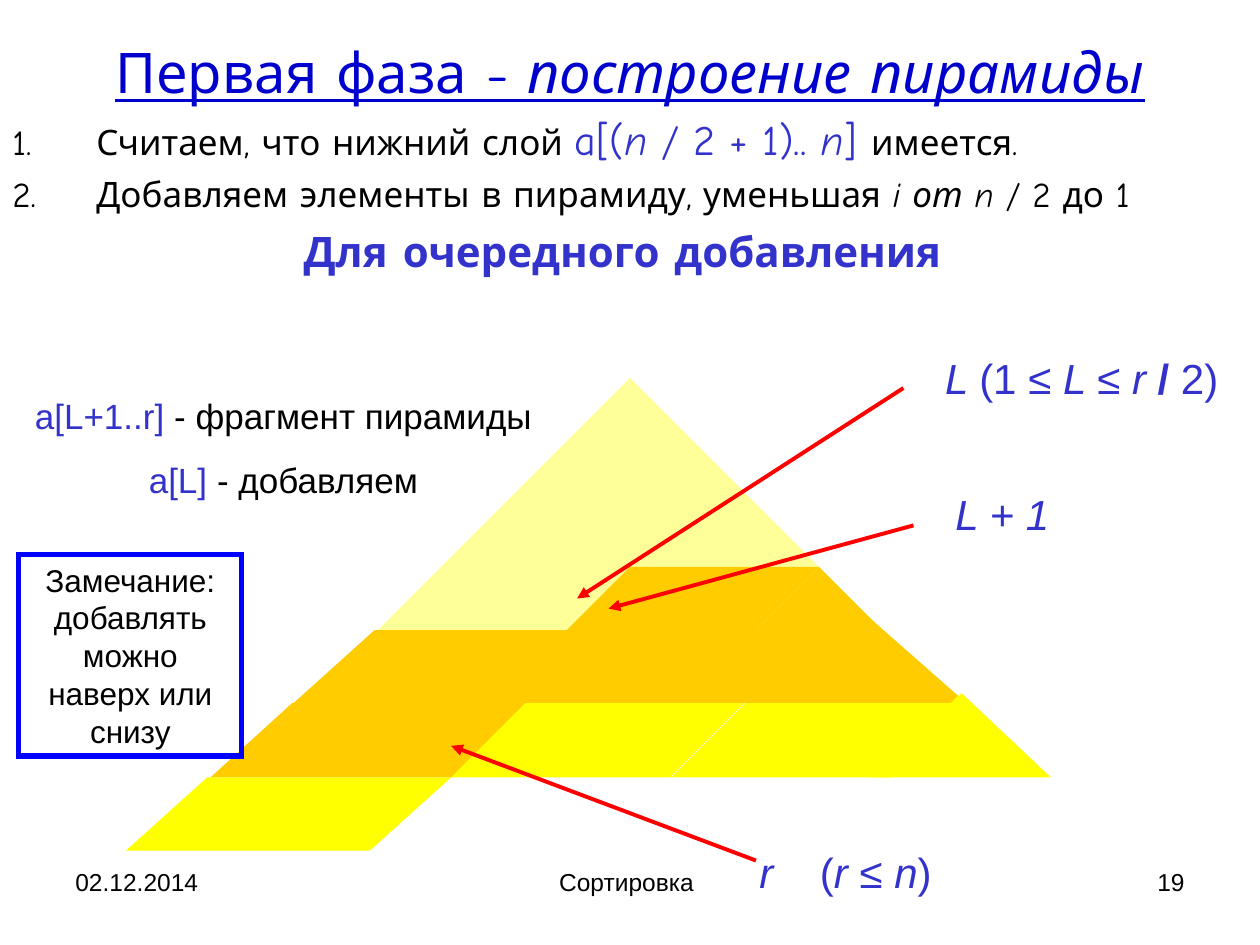
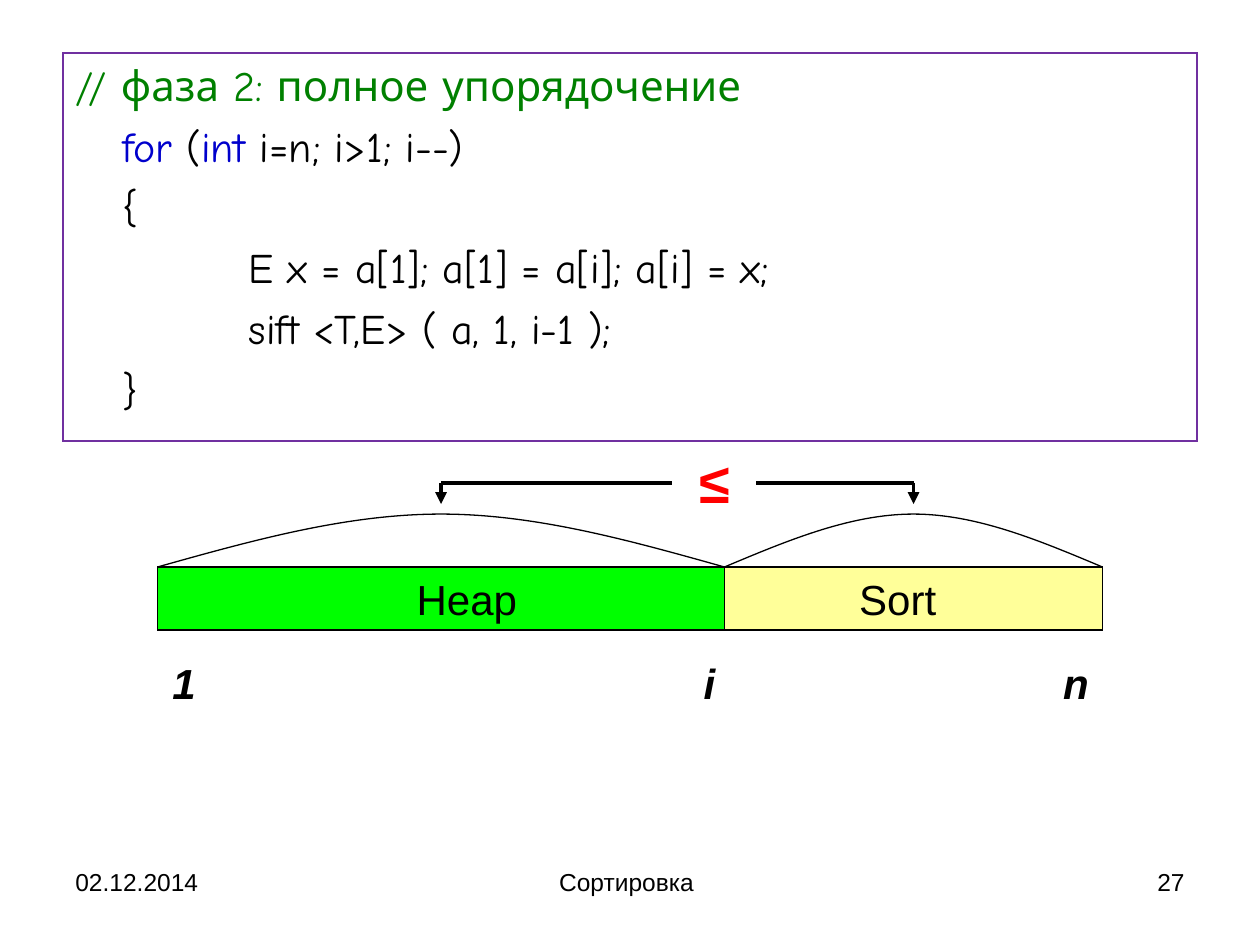
from lxml import etree
from pptx import Presentation
from pptx.dml.color import RGBColor
from pptx.enum.shapes import MSO_CONNECTOR, MSO_SHAPE
from pptx.enum.text import MSO_ANCHOR, PP_ALIGN
from pptx.oxml.ns import qn
from pptx.util import Inches, Pt

LEFT, CENTER, RIGHT = PP_ALIGN.LEFT, PP_ALIGN.CENTER, PP_ALIGN.RIGHT
STRAIGHT = MSO_CONNECTOR.STRAIGHT
RECTANGLE = MSO_SHAPE.RECTANGLE
TRIANGLE = MSO_SHAPE.ISOSCELES_TRIANGLE
SLANTED = MSO_SHAPE.PARALLELOGRAM

BLACK = RGBColor(0, 0, 0)
WHITE = RGBColor(0xFF, 0xFF, 0xFF)
NAVY = RGBColor(0, 0, 0xCC)
INDIGO = RGBColor(0x33, 0x33, 0xCC)
BLUE = RGBColor(0, 0, 0xFF)
RED = RGBColor(0xFF, 0, 0)
CODE_GREEN = RGBColor(0, 0x80, 0)
LIME = RGBColor(0, 0xFF, 0)
PURPLE = RGBColor(0x70, 0x30, 0xA0)
PALE = RGBColor(0xFF, 0xFF, 0x99)
ORANGE = RGBColor(0xFF, 0xCC, 0)
YELLOW = RGBColor(0xFF, 0xFF, 0)

BODY_FONT, NOTE_FONT = "Arial", "Comic Neue"
THIN, ARROW_WIDTH, FRAME_WIDTH = 0.74, 2.24, 3
LIST_INDENT, CODE_INDENT, CODE_STEP = 2 / 3, 3 / 8, 1
ITALIC = {"italic": True}
FORMULA = {"size": 24, "color": INDIGO}
FORMULA_ITALIC = {**FORMULA, **ITALIC}
KEYWORD = {"color": NAVY}

# Footer: left, width, alignment; the page number fills the last one
FOOTER = [(0.5, 2.33, LEFT, "02.12.2014"), (3.42, 3.16, CENTER, "Сортировка "),
          (7.17, 2.33, RIGHT, None)]

# A paragraph is a list of spans (text, format) with its own paragraph format
INTRO = [
    ([("Первая фаза - ", {}), ("построение пирамиды", ITALIC)],
     {"size": 32, "color": NAVY, "underline": True, "align": CENTER, "before": 8}),
    ([("Считаем, что нижний слой ", {}), ("a[(", FORMULA), ("n ", FORMULA_ITALIC),
      ("/ 2 + 1).. ", FORMULA), ("n", FORMULA_ITALIC), ("] ", FORMULA),
      ("имеется.", {})], {"before": 5, "numbered": True}),
    ([("Добавляем элементы в пирамиду, уменьшая ", {}), ("i от n ", ITALIC),
      ("/ 2 до 1", {})], {"before": 5, "numbered": True}),
    ([("Для очередного добавления ", {})],
     {"size": 24, "color": INDIGO, "bold": True, "align": CENTER, "before": 6}),
]
FRAGMENT = [
    ([("a[L+1..r]", {"color": INDIGO}), (" - фрагмент пирамиды", {})], {}),
    ([("a[L] ", {"color": INDIGO}), ("- добавляем", {})], {}),
]
NOTE = "Замечание: добавлять можно наверх или снизу"

# Pyramid pieces: colour, left, top, width, height, slant (None: triangle)
PYRAMID = [
    (PALE, 3.5, 3, 3, 1.5, None), (PALE, 3, 4.5, 2, 0.5, 1),
    (ORANGE, 6, 4.5, 1, 0.5, None), (ORANGE, 4.5, 4.5, 2, 0.5, 1),
    (ORANGE, 2.33, 5, 2.58, 0.58, 1.11), (ORANGE, 4.08, 5, 2.92, 0.58, 1.25),
    (ORANGE, 6.17, 4.92, 1.5, 0.66, None), (ORANGE, 1.67, 5.58, 2.58, 0.59, 1.1),
    (YELLOW, 1, 6.17, 2.58, 0.58, 1.11), (YELLOW, 3.58, 5.58, 2.33, 0.59, 1),
    (YELLOW, 5.33, 5.58, 2.33, 0.59, 1), (YELLOW, 6.92, 5.5, 1.42, 0.67, None),
]
# Labels with arrows: box, spans, arrow start, arrow end
LABELS = [
    ((5.67, 6.67, 2.08, 0.5),
     [("r", ITALIC), (" ", {"spacing": 20}), ("(", {}), ("r ", ITALIC), ("≤ ", {}),
      ("n", ITALIC), (")", {})], (6, 6.83), (3.58, 5.92)),
    ((7.17, 2.75, 2.83, 0.5),
     [("L ", ITALIC), ("(1 ≤ ", {}), ("L ", ITALIC), ("≤ ", {}), ("r ", ITALIC),
      ("/ ", {"bold": True}), ("2)", {})], (7.17, 3.08), (4.58, 4.75)),
    ((7.33, 3.83, 1.25, 0.5), [("L + 1", ITALIC)], (7.25, 4.17), (4.83, 4.83)),
]

# Code lines: left margin, spans
BLOCK, INNER = CODE_INDENT, CODE_INDENT + CODE_STEP
CODE = [
    (0, [("// фаза 2: полное упорядочение ", {"color": CODE_GREEN})]),
    (BLOCK, [("for", KEYWORD), (" (", {}), ("int", KEYWORD),
             (" i=n; i>1; i--) ", {})]),
    (BLOCK, [("{", {})]),
    (INNER, [("E x = a[1]; a[1] = a[i]; a[i] = x;", {})]),
    (INNER, [("sift <T,E> ( a, 1, i-1 );", {})]),
    (BLOCK, [("}", {})]),
]
# Array parts: name, left, width, colour, label left, label width, bracket end
ARRAY_TOP, ARRAY_HEIGHT, ARC_TOP, BRACKET_TOP = 4.5, 0.5, 4.08, 3.83
PARTS = [("Heap", 1.25, 4.5, LIME, 2.58, 2.25, 5.33),
         ("Sort", 5.75, 3, PALE, 6.25, 1.75, 6)]
INDEXES = [("i", 5.42), ("1", 1.25), ("n", 8.33)]


def write_text(box, paragraphs, font=BODY_FONT, size=24, color=BLACK, bold=False,
               italic=False, underline=False, align=LEFT, before=0, margin=0,
               hanging=0, numbered=False):
    """Fill a box with paragraphs; each paragraph and span may override the format."""
    frame = box.text_frame
    frame.word_wrap = True
    frame.vertical_anchor = MSO_ANCHOR.TOP
    shared = dict(font=font, size=size, color=color, bold=bold, italic=italic,
                  underline=underline, align=align, before=before, margin=margin,
                  numbered=numbered, spacing=0)
    for number, (spans, changes) in enumerate(paragraphs):
        para = frame.paragraphs[0] if number == 0 else frame.add_paragraph()
        style = {**shared, **changes}
        para.alignment = style["align"]
        para.space_before = Pt(style["before"])
        properties = para._p.get_or_add_pPr()
        properties.set("marL", str(Inches(style["margin"])))
        properties.set("indent", str(-Inches(hanging)))
        if style["numbered"]:
            etree.SubElement(properties, qn("a:buAutoNum"), type="arabicPeriod")
        for text, span_changes in spans:
            look = {**style, **span_changes}
            span = para.add_run()
            span.text = text
            span.font.name = look["font"]
            span.font.size = Pt(look["size"])
            span.font.color.rgb = look["color"]
            span.font.bold = look["bold"]
            span.font.italic = look["italic"]
            span.font.underline = look["underline"]
            if look["spacing"]:
                span._r.get_or_add_rPr().set("spc", str(look["spacing"] * 100))


def add_text(page, place, content, **style):
    """Add a text box holding one string or a list of paragraphs."""
    box = page.shapes.add_textbox(*map(Inches, place))
    paragraphs = [([(content, {})], {})] if isinstance(content, str) else content
    write_text(box, paragraphs, **style)
    return box


def paint(shape, fill=None, line=None, width=THIN):
    """Set fill and sharp-cornered outline, if given, and drop the shadow."""
    shape.shadow.inherit = False
    if fill is None:
        shape.fill.background()
    else:
        shape.fill.solid()
        shape.fill.fore_color.rgb = fill
    if line is None:
        shape.line.fill.background()
    else:
        shape.line.color.rgb = line
        shape.line.width = Pt(width)
        etree.SubElement(shape.line._get_or_add_ln(), qn("a:miter"), lim="800000")


def add_shape(page, kind, place, **look):
    """Add a painted preset shape."""
    shape = page.shapes.add_shape(kind, *map(Inches, place))
    paint(shape, **look)
    return shape


def add_line(page, start, end, color, arrow=True):
    """Draw a straight line, with an arrowhead at its end if wanted."""
    line = page.shapes.add_connector(STRAIGHT, *map(Inches, start + end))
    line.line.color.rgb = color
    line.line.width = Pt(ARROW_WIDTH)
    if arrow:
        etree.SubElement(line.line._get_or_add_ln(), qn("a:tailEnd"), type="triangle")
    etree.SubElement(line._element.spPr, qn("a:effectLst"))


def add_arc(page, left, width):
    """Draw a smooth arch over one array part from two Bezier curves."""
    shoulder = (ARRAY_TOP + ARC_TOP) / 2
    heights = [ARRAY_TOP, shoulder, ARC_TOP, ARC_TOP, ARC_TOP, shoulder, ARRAY_TOP]
    points = [(Inches(left + width * step / 6), Inches(height))
              for step, height in enumerate(heights)]
    builder = page.shapes.build_freeform(*points[0])
    builder.add_line_segments(points[1:], close=False)
    arc = builder.convert_to_shape()
    outline = next(arc._element.iter(qn("a:path")))
    segments = outline.findall(qn("a:lnTo"))
    for first in range(0, len(segments), 3):
        curve = etree.SubElement(outline, qn("a:cubicBezTo"))
        for segment in segments[first:first + 3]:
            curve.append(segment[0])
            outline.remove(segment)
    paint(arc, line=BLACK)


def add_page(deck, number):
    """Add a blank page with the shared footer."""
    page = deck.slides.add_slide(deck.slide_layouts[6])
    for left, width, align, text in FOOTER:
        add_text(page, (left, 6.83, width, 0.52), text or str(number),
                 size=14, align=align)
    return page


def build_pyramid_page(deck):
    """Build the page on the first phase: growing the heap."""
    page = add_page(deck, 19)
    add_text(page, (0, 0.25, 10, 2.25), INTRO, font=NOTE_FONT, size=20,
             margin=LIST_INDENT, hanging=LIST_INDENT)
    for color, left, top, width, height, slant in PYRAMID:
        kind = SLANTED if slant else TRIANGLE
        piece = add_shape(page, kind, (left, top, width, height), fill=color)
        piece.adjustments[0] = slant or 0.5
    for place, spans, start, end in LABELS:
        add_line(page, start, end, RED)
        add_text(page, place, [(spans, {})], color=INDIGO, align=CENTER, before=15)
    add_text(page, (0, 3.08, 4.5, 0.94), FRAGMENT, size=20, align=CENTER, before=12.5)
    note = add_shape(page, RECTANGLE, (0.15, 4.4, 1.77, 1.6), line=BLUE,
                     width=FRAME_WIDTH)
    write_text(note, [([(NOTE, {})], {})], size=18, align=CENTER, before=11.2)


def build_sort_page(deck):
    """Build the page on the second phase: code and the split array."""
    page = add_page(deck, 27)
    code = add_shape(page, RECTANGLE, (0.5, 0.42, 9, 3.08), fill=WHITE, line=PURPLE)
    write_text(code, [(spans, {"margin": margin}) for margin, spans in CODE],
               font=NOTE_FONT, before=6)
    for name, left, width, color, label_left, label_width, bracket_end in PARTS:
        middle = left + width / 2
        add_shape(page, RECTANGLE, (left, ARRAY_TOP, width, ARRAY_HEIGHT),
                  fill=color, line=BLACK)
        add_text(page, (label_left, ARRAY_TOP, label_width, ARRAY_HEIGHT), name,
                 align=CENTER, before=15)
        add_arc(page, left, width)
        corner = (middle, BRACKET_TOP)
        add_line(page, (bracket_end, BRACKET_TOP), corner, BLACK, arrow=False)
        add_line(page, corner, (middle, 4), BLACK)
    add_text(page, (5.17, 3.5, 1, 0.64), "≤", size=32, color=RED, bold=True,
             align=CENTER, before=20)
    for name, left in INDEXES:
        add_text(page, (left, 5.17, 0.42, 0.5), name, bold=True, italic=True,
                 align=CENTER, before=15)


deck = Presentation()
deck.slide_width, deck.slide_height = Inches(10), Inches(7.5)
build_pyramid_page(deck)
build_sort_page(deck)
deck.save("out.pptx")
